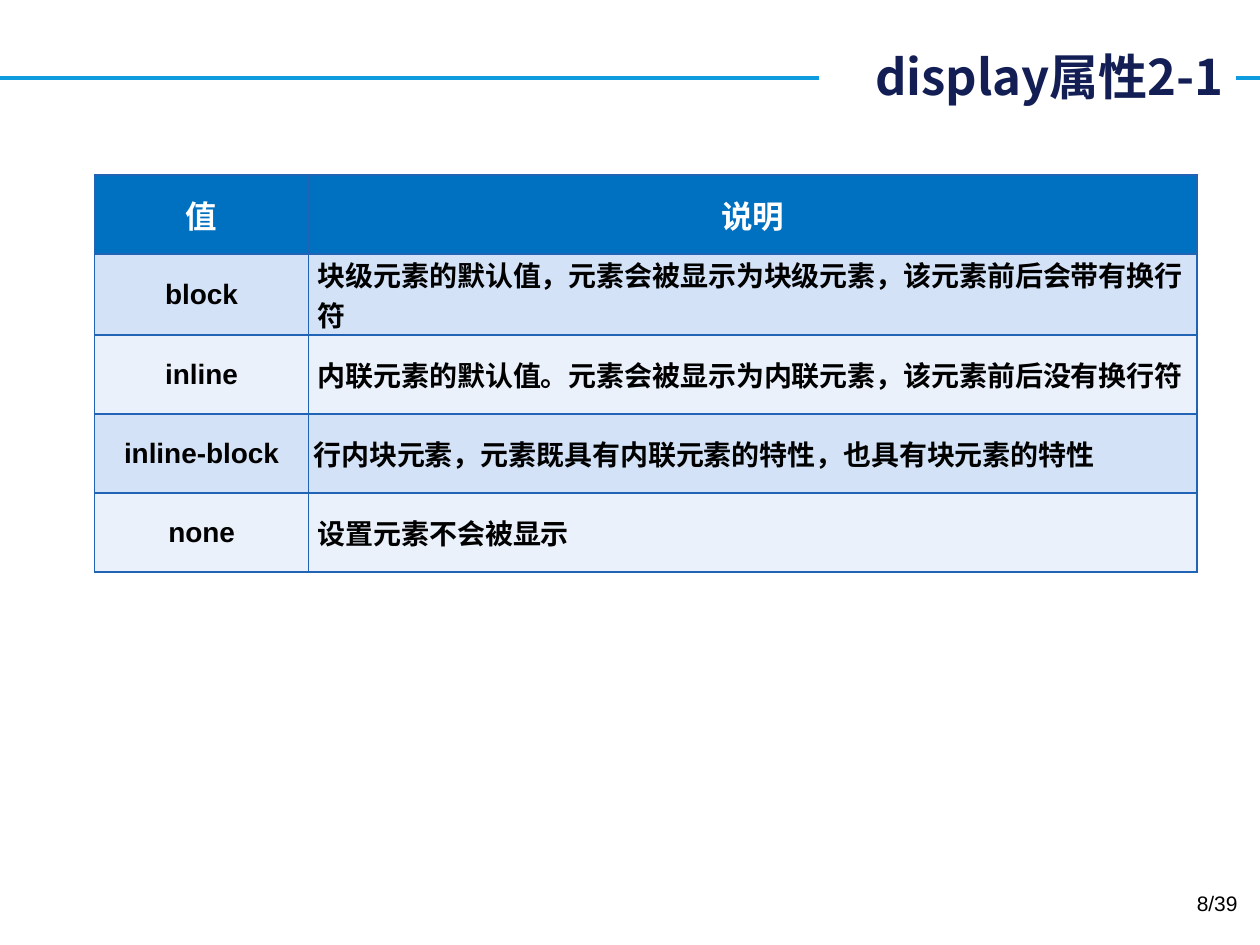
from lxml.etree import SubElement as Sub
from pptx import Presentation as Deck
from pptx.dml.color import RGBColor as Rgb
from pptx.enum.shapes import MSO_CONNECTOR as Conn
from pptx.enum.text import MSO_ANCHOR as Anchor, MSO_AUTO_SIZE as Fit, PP_ALIGN as Align
from pptx.oxml.ns import qn
from pptx.util import Pt

CJK = "Noto Sans CJK SC"
NAVY, SKY, EDGE, HEAD = "121E54", "0E9CDE", "2163B4", "0070C0"
BANDS = ["D3E2F7", "EAF1FB"]

ROWS = [
    ("值", "说明"),
    ("block", "块级元素的默认值，元素会被显示为块级元素，该元素前后会带有换行符"),
    ("inline", "内联元素的默认值。元素会被显示为内联元素，该元素前后没有换行符"),
    ("inline-block", "行内块元素，元素既具有内联元素的特性，也具有块元素的特性"),
    ("none", "设置元素不会被显示"),
]
WIDE = [122.4, 507.6]
TALL = [45.2, 39.6, 45.2, 45.2, 45.2]


def tint(code):
    return Rgb.from_string(code)


class Page:
    def __init__(self, deck):
        self.slide = deck.slides.add_slide(deck.slide_layouts[5])
        self.shapes = self.slide.shapes

    def label(self, frame, text, size, color, align, face="Arial", bold=True):
        para = frame.paragraphs[0]
        para.alignment = align
        run = para.add_run()
        run.text = text
        run.font.color.rgb = tint(color)
        for key, val in {"size": Pt(size), "bold": bold, "name": face}.items():
            setattr(run.font, key, val)
        Sub(run.font._element, qn("a:ea"), typeface=CJK)

    def rule(self, x1, x2, y, color, width):
        line = self.shapes.add_connector(Conn.STRAIGHT, Pt(x1), Pt(y), Pt(x2), Pt(y))
        line.line.color.rgb = tint(color)
        line.line.width = Pt(width)
        Sub(line._element.spPr, qn("a:effectLst"))

    def place(self, shape, box):
        for key, val in zip(("left", "top", "width", "height"), box):
            setattr(shape, key, Pt(val))

    def title(self, text, box):
        shape = self.shapes.title
        self.place(shape, box)
        # Bring the title in front of the rule
        shape._element.getparent().append(shape._element)
        shape.fill.solid()
        shape.fill.fore_color.rgb = tint("FFFFFF")
        frame = shape.text_frame
        look = {"auto_size": Fit.NONE, "word_wrap": True, "vertical_anchor": Anchor.MIDDLE}
        for key, val in look.items():
            setattr(frame, key, val)
        self.label(frame, text, 28, NAVY, Align.RIGHT, CJK)

    def note(self, text, box):
        frame = self.shapes.add_textbox(*map(Pt, box)).text_frame
        frame.word_wrap = True
        self.label(frame, text, 12, "000000", Align.RIGHT, bold=False)

    def edge(self, cell):
        props = cell._tc.get_or_add_tcPr()
        for spot, side in enumerate(("lnL", "lnR", "lnT", "lnB")):
            line = props.makeelement(qn("a:" + side), {"w": str(Pt(1))})
            fill = Sub(line, qn("a:solidFill"))
            Sub(fill, qn("a:srgbClr"), val=EDGE)
            props.insert(spot, line)

    def cell(self, cell, text, size, color, align, fill, pad):
        look = {"margin_left": Pt(pad), "margin_right": Pt(pad), "margin_top": 0,
                "margin_bottom": 0, "vertical_anchor": Anchor.MIDDLE}
        for key, val in look.items():
            setattr(cell, key, val)
        cell.fill.solid()
        cell.fill.fore_color.rgb = tint(fill)
        self.edge(cell)
        self.label(cell.text_frame, text, size, color, align)

    def table(self, left, top):
        box = map(Pt, (left, top, sum(WIDE), sum(TALL)))
        grid = self.shapes.add_table(len(ROWS), len(WIDE), *box).table
        for col, width in zip(grid.columns, WIDE):
            col.width = Pt(width)
        for r, (row, tall) in enumerate(zip(ROWS, TALL)):
            grid.rows[r].height = Pt(tall)
            size, color, fill = (16, "000000", BANDS[(r - 1) % 2]) if r else (18, "FFFFFF", HEAD)
            pad = 2.7 if row[0] == "inline-block" else 5.2
            for c, text in enumerate(row):
                align = Align.LEFT if r and c else Align.CENTER
                self.cell(grid.cell(r, c), text, size, color, align, fill, pad)


def main():
    deck = Deck()
    deck.slide_width, deck.slide_height = Pt(720), Pt(540)
    page = Page(deck)
    # Heading on its rule
    page.rule(0, 720, 44.7, SKY, 2.25)
    page.title("display属性2-1", (468, 5.8, 238.3, 74.9))
    # Table of values
    page.table(54, 100)
    # Page number
    page.note("8/39", (546.5, 505.4, 167.8, 28.8))
    deck.save("out.pptx")


if __name__ == "__main__":
    main()
